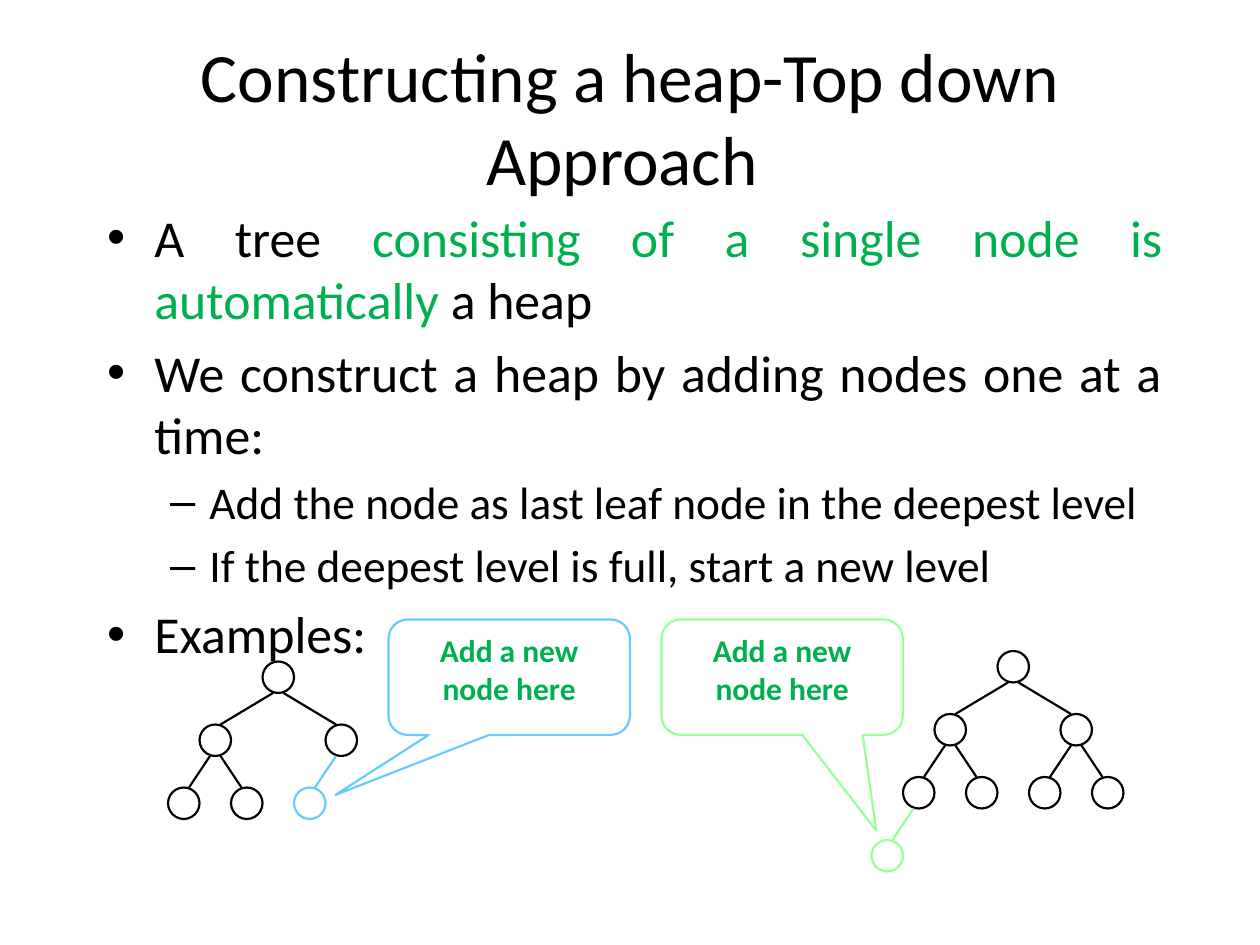
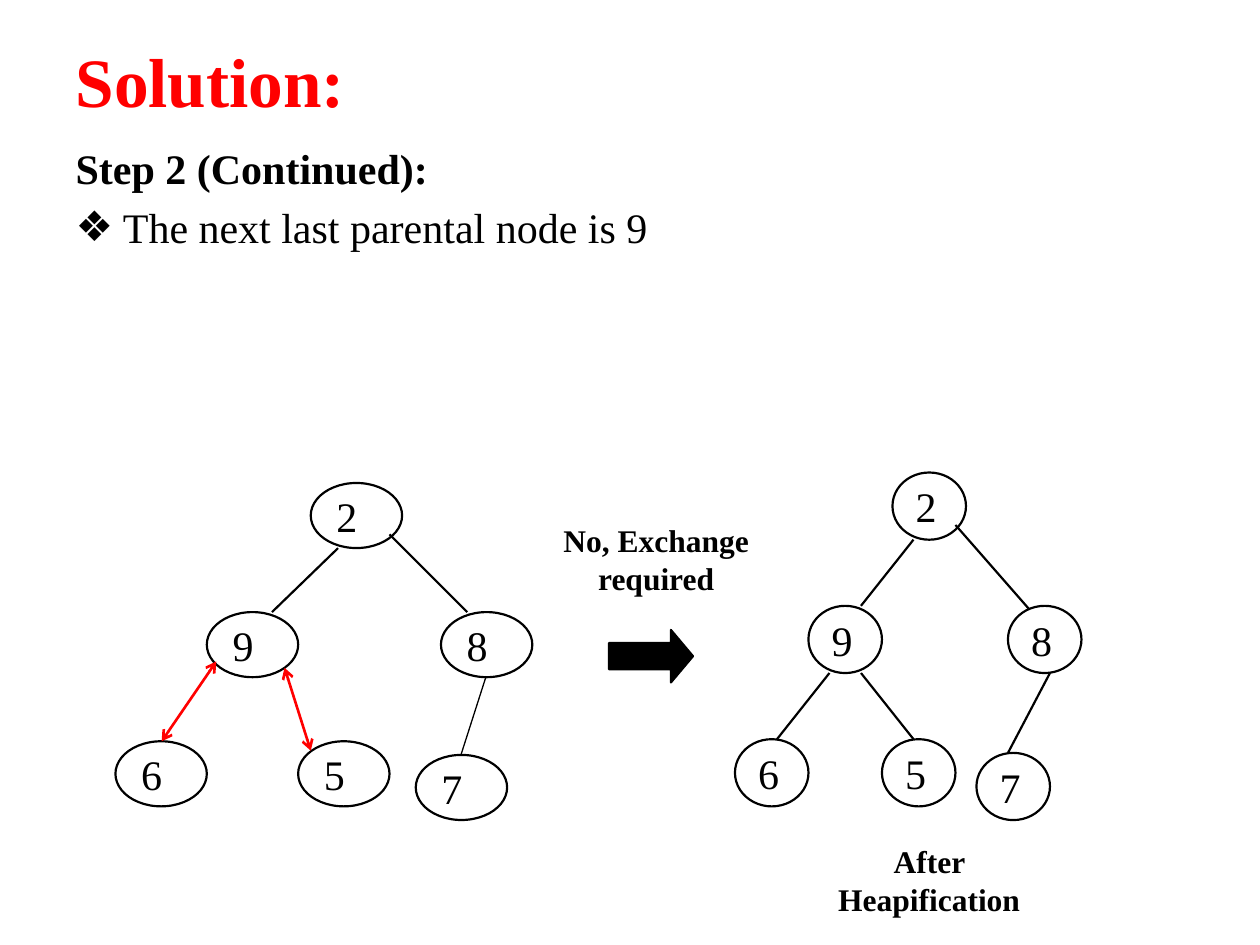
import pptx
import pptx.util
import pptx.dml.color
import pptx.enum.shapes
import pptx.enum.text
import pptx.oxml.ns
import lxml.etree

presentation = pptx.Presentation()
presentation.slide_width = pptx.util.Inches(10)
presentation.slide_height = pptx.util.Inches(7.5)

# Shared style: a grid of 120 columns by 90 rows with square cells
CELL = presentation.slide_width // 120
BLACK, RED, GREEN, SKY, LIME = "000000", "FF0000", "00B050", "66CCFF", "99FF99"
SANS, SERIF = "Calibri", "Times New Roman"
TITLE_SIZE = 39.6
TITLE_BOX = (6, 3.6, 108, 15)
SHAPES = pptx.enum.shapes.MSO_SHAPE
ALIGN = pptx.enum.text.PP_ALIGN
ANCHOR = pptx.enum.text.MSO_ANCHOR


def draw(slide, kind, box, color=BLACK, weight=1.25):
    """Draw an outlined shape (left, top, width, height) or, without a kind, a line (from, to)."""
    lengths = [round(CELL * value) for value in box]
    if kind is None:
        shape = slide.shapes.add_connector(pptx.enum.shapes.MSO_CONNECTOR.STRAIGHT, *lengths)
    else:
        shape = slide.shapes.add_shape(kind, *lengths)
        shape.fill.background()
    shape.line.color.rgb = pptx.dml.color.RGBColor.from_string(color)
    shape.line.width = pptx.util.Pt(weight)
    lxml.etree.SubElement(shape._element.spPr, pptx.oxml.ns.qn("a:effectLst"))
    return shape


def format_text(paragraphs, font, size, color=BLACK, bold=False, align=None):
    for paragraph in paragraphs:
        paragraph.alignment = align
        for run in paragraph.runs:
            run.font.name = font
            run.font.size = pptx.util.Pt(size)
            run.font.bold = bold
            run.font.color.rgb = pptx.dml.color.RGBColor.from_string(color)


# Slides with their titles and lists
slide_contents = [
    ("Constructing a heap-Top down Approach ", (9, 19, 103, 46),
     ["A tree ",
      "We construct a heap by adding nodes one at a time:",
      "Add the node as last leaf node in the deepest level",
      "If the deepest level is full, start a new level",
      "Examples:"]),
    ("Solution:", (6, 13, 108, 72),
     ["Step 2 (Continued):", "The next last parental node is 9"]),
]
for title, body_box, items in slide_contents:
    slide = presentation.slides.add_slide(presentation.slide_layouts[1])
    slide.shapes.title.text_frame.text = title
    body = slide.placeholders[1]
    body.text_frame.text = "\n".join(items)
    for placeholder, box in ((slide.shapes.title, TITLE_BOX), (body, body_box)):
        placeholder.left, placeholder.top, placeholder.width, placeholder.height = [
            round(CELL * value) for value in box]
        placeholder.text_frame.auto_size = pptx.enum.text.MSO_AUTO_SIZE.NONE
construction, solution = presentation.slides

# Slide 1: title and list
format_text(construction.shapes.title.text_frame.paragraphs, SANS, TITLE_SIZE, align=ALIGN.CENTER)
paragraphs = construction.placeholders[1].text_frame.paragraphs
paragraphs[0].add_run().text = "consisting of a single node is automatically "
paragraphs[0].add_run().text = "a heap"
for index, paragraph in enumerate(paragraphs):
    paragraph.level = 1 if index in (2, 3) else 0
    size = 25.9 if paragraph.level else 29.6
    paragraph.space_before = pptx.util.Pt(0.2 * size if index else 0)
    format_text([paragraph], SANS, size, align=ALIGN.LEFT if index == 4 else ALIGN.JUSTIFY)
paragraphs[0].runs[1].font.color.rgb = pptx.dml.color.RGBColor.from_string(GREEN)

# Slide 1: heaps in level order, offsets in node widths; the last node is the new one
NODE = 3
offsets = [(0, 0), (-2, 2), (2, 2), (-3, 4), (-1, 4), (1, 4), (3, 4), (-4, 6)]
for root_left, root_top, count, new_color in ((95, 62, 8, LIME), (25, 63, 6, SKY)):
    corners = [(root_left + NODE * x, root_top + NODE * y) for x, y in offsets[:count]]
    for index, (left, top) in enumerate(corners):
        color = new_color if index == count - 1 else BLACK
        draw(construction, SHAPES.OVAL, (left, top, NODE, NODE), color)
        if index:
            parent_left, parent_top = corners[(index - 1) // 2]
            shift = 0.5 if parent_left > left else -0.5
            draw(construction, None, (left + NODE / 2 + shift, top,
                                      parent_left + NODE / 2 - shift, parent_top + NODE), color)

# Slide 1: callouts
for left, color, tip in ((37, SKY, (-0.72, 1.02)), (63, LIME, (0.39, 1.33))):
    callout = draw(construction, SHAPES.ROUNDED_RECTANGULAR_CALLOUT, (left, 59, 23, 11), color)
    callout.adjustments[0], callout.adjustments[1] = tip
    callout.text_frame.text = "Add a new node here"
    callout.text_frame.word_wrap = True
    callout.text_frame.vertical_anchor = ANCHOR.TOP
    format_text(callout.text_frame.paragraphs, SANS, 18, GREEN, True, ALIGN.CENTER)

# Slide 2: title and list
title_frame = solution.shapes.title.text_frame
title_frame.vertical_anchor = ANCHOR.TOP
title_frame.margin_top = 0
format_text(title_frame.paragraphs, SERIF, TITLE_SIZE, RED, True, ALIGN.LEFT)
step, remark = solution.placeholders[1].text_frame.paragraphs
lxml.etree.SubElement(step._p.get_or_add_pPr(), pptx.oxml.ns.qn("a:buNone"))
lxml.etree.SubElement(remark._p.get_or_add_pPr(), pptx.oxml.ns.qn("a:buChar"), char="❖")
step.space_before = pptx.util.Pt(0)
remark.space_before = pptx.util.Pt(4.8)
format_text([step], SERIF, 24, bold=True, align=ALIGN.JUSTIFY)
format_text([remark], SERIF, 24, align=ALIGN.JUSTIFY)

# Slide 2: trees before and after, each with node size, node corners and edges
trees = [
    ((8.7, 6.2),
     {"2": (29.6, 46), "9": (19.7, 58.3), "8": (42, 58.3),
      "6": (11, 70.6), "5": (28.4, 70.6), "7": (39.6, 71.9)},
     [(32.2, 52.2, 25.9, 58.3), (37.1, 50.9, 44.5, 58.3)]),
    ((7, 6.4),
     {"2": (85, 45), "9": (77, 57.7), "8": (96, 57.7),
      "6": (70, 70.4), "5": (84, 70.4), "7": (93, 71.7)},
     [(87, 51.4, 82, 57.7), (91, 50, 98, 58), (79, 64.1, 74, 70.4),
      (82, 64.1, 87, 70.4), (100, 64.1, 96, 71.7)]),
]
for node_size, nodes, edges in trees:
    for label, corner in nodes.items():
        node = draw(solution, SHAPES.OVAL, corner + node_size)
        node.text_frame.text = label
        node.text_frame.word_wrap = True
        node.text_frame.margin_top = node.text_frame.margin_bottom = 0
        node.text_frame.vertical_anchor = ANCHOR.MIDDLE
        format_text(node.text_frame.paragraphs, SERIF, 24, align=ALIGN.JUSTIFY)
    for edge in edges:
        draw(solution, None, edge)
draw(solution, None, (46.3, 64.4, 43.9, 71.9), weight=0.75)

# Slide 2: compared pairs, with an arrowhead at both ends
for pair in ((20.6, 63, 15.4, 70.6), (27.1, 63.6, 29.6, 71.5)):
    line = draw(solution, None, pair, RED, 1.5).line._get_or_add_ln()
    for end in ("a:headEnd", "a:tailEnd"):
        lxml.etree.SubElement(line, pptx.oxml.ns.qn(end), type="arrow")

# Slide 2: block arrow and captions
arrow = draw(solution, SHAPES.RIGHT_ARROW, (58, 60, 8, 5))
arrow.adjustments[1] = 0.42
arrow.fill.solid()
arrow.fill.fore_color.rgb = pptx.dml.color.RGBColor.from_string(BLACK)
for left, top, text in ((50, 49, "No, Exchange required"), (76, 79.6, "After Heapification")):
    caption = solution.shapes.add_textbox(*[round(CELL * value) for value in (left, top, 25, 8.5)])
    caption.text_frame.text = text
    caption.text_frame.word_wrap = True
    format_text(caption.text_frame.paragraphs, SERIF, 18, bold=True, align=ALIGN.CENTER)

presentation.save("out.pptx")
